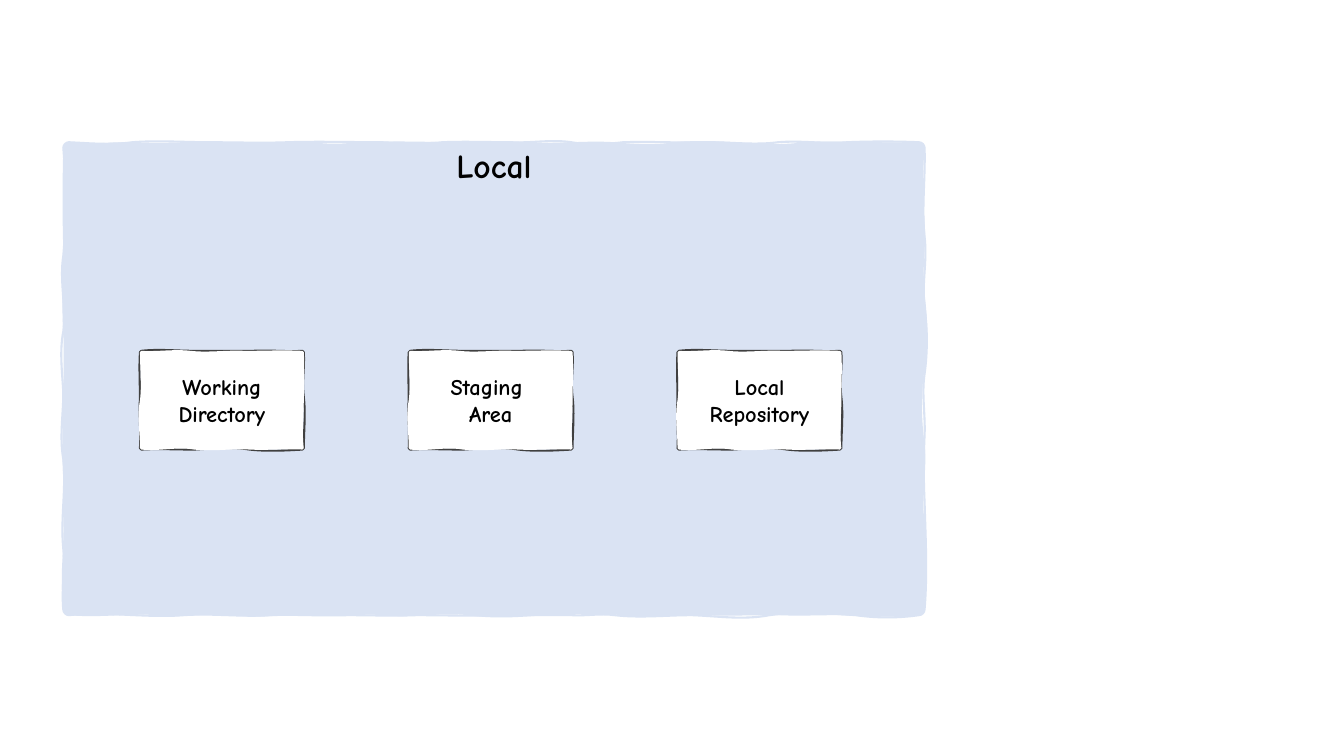
from dataclasses import dataclass

from lxml.etree import SubElement
from pptx import Presentation
from pptx.dml.color import RGBColor
from pptx.enum.text import MSO_ANCHOR as Anchor, MSO_AUTO_SIZE as AutoSize, PP_ALIGN as Align
from pptx.oxml.ns import qn
from pptx.util import Pt


@dataclass(frozen=True)
class Theme:
    font: str = "Comic Neue"
    text: RGBColor = RGBColor(0, 0, 0)
    panel: RGBColor = RGBColor(0xDA, 0xE3, 0xF3)
    card: RGBColor = RGBColor(0xFF, 0xFF, 0xFF)
    card_line: RGBColor = RGBColor(0x40, 0x40, 0x40)
    heading_size: int = 24
    label_size: int = 16
    line_width: float = 1.5


@dataclass(frozen=True)
class Box:
    left: float
    top: float
    width: float
    height: float


@dataclass(frozen=True)
class Sketch:
    radius: float
    outline: tuple
    fill: tuple


THEME = Theme()
BEND = 0.72

# Each side runs clockwise from the top: (percent along, first bend, second bend).
PANEL_SKETCH = Sketch(
    radius=4,
    outline=(
        ((8, -1, -3), (17, 2, 0), (26, 0, -1), (37, 1, 0), (44, -1, -2), (52, 1, 0),
         (59, -1, 3), (65, -3, -2), (75, 1, -1), (83, 0, -3), (91, 2, -2), (100, 1, 1)),
        ((20, 1, -3), (35, 3, -3), (49, 3, 3), (62, -3, 1), (76, -1, -1), (100, 1, 3)),
        ((8, 3, 3), (18, -2, -4), (27, 5, 1), (36, 0, 3), (41, -2, 1), (50, 0, 0),
         (59, 1, 0), (67, 1, 0), (76, 1, -1), (86, 2, -2), (100, 3, -4)),
        ((14, 2, -2), (33, 3, -3), (47, 4, 0), (60, 1, 4), (76, -3, 4), (100, -3, -3)),
    ),
    fill=(
        ((7, -3, 0), (15, -1, -1), (22, 0, 0), (29, -1, 1), (34, -2, -2), (44, 1, 1),
         (54, -1, 2), (64, -2, 2), (71, -2, -3), (78, 2, 1), (86, -2, -3), (100, 2, -1)),
        ((17, -2, -2), (32, 2, -3), (48, 3, 4), (64, -4, -3), (80, 3, -4), (100, 4, 0)),
        ((10, 3, 1), (17, 0, 1), (26, 0, 1), (35, 0, 3), (44, -2, -1), (53, 2, 4),
         (63, -3, 3), (71, -2, 2), (80, -2, 4), (89, -3, 3), (100, -2, 3)),
        ((14, 2, 2), (28, -1, 0), (44, 1, 1), (60, 0, -1), (77, 2, 0), (100, 1, 1)),
    ),
)
CARD_SKETCH = Sketch(
    radius=1,
    outline=(
        ((33, 2, 0), (69, 0, 0), (100, 1, -1)),
        ((47, 1, -2), (100, 2, 0)),
        ((33, 1, 2), (67, -3, -1), (100, 0, -1)),
        ((52, -1, 1), (100, 0, 1)),
    ),
    fill=(
        ((31, -1, 2), (64, -2, 1), (100, 0, 1)),
        ((50, 1, 0), (100, 0, -2)),
        ((33, -1, 1), (67, -1, 2), (100, -3, 2)),
        ((50, 0, 3), (100, -2, 0)),
    ),
)


def add_points(parent, tag, points):
    command = SubElement(parent, qn(tag))
    for x, y in points:
        SubElement(command, qn("a:pt"), x=str(Pt(x)), y=str(Pt(y)))


def add_sketch_path(path_list, box, radius, sides, **attributes):
    width, height = box.width, box.height
    path = SubElement(path_list, qn("a:path"), w=str(Pt(width)), h=str(Pt(height)), **attributes)
    corners = (
        (width, lambda along, out: (along, -out)),
        (height, lambda along, out: (width + out, along)),
        (width, lambda along, out: (width - along, height + out)),
        (height, lambda along, out: (-out, height - along)),
    )
    add_points(path, "a:moveTo", [(0, radius)])
    for (length, place), side in zip(corners, sides):
        round_corner = [place(0, -radius / 2), place(radius / 2, 0), place(radius, 0)]
        add_points(path, "a:cubicBezTo", round_corner)
        start = radius
        for percent, first, second in side:
            end = min(length * percent / 100, length - radius)
            step = (end - start) / 3
            add_points(path, "a:cubicBezTo", [
                place(start + step, first * BEND),
                place(end - step, second * BEND),
                place(end, 0),
            ])
            start = end
    SubElement(path, qn("a:close"))


def add_sketched_box(shapes, box, sketch, fill, line):
    right, bottom = box.left + box.width, box.top + box.height
    builder = shapes.build_freeform(Pt(box.left), Pt(box.top))
    builder.add_line_segments([
        (Pt(right), Pt(box.top)), (Pt(right), Pt(bottom)), (Pt(box.left), Pt(bottom)),
    ])
    shape = builder.convert_to_shape()
    path_list = next(shape.element.iter(qn("a:pathLst")))
    path_list.remove(path_list[0])
    add_sketch_path(path_list, box, sketch.radius, sketch.outline, fill="none")
    add_sketch_path(path_list, box, sketch.radius, sketch.fill, stroke="0")
    shape.shadow.inherit = False
    shape.fill.solid()
    shape.fill.fore_color.rgb = fill
    shape.line.color.rgb = line
    shape.line.width = Pt(THEME.line_width)


def add_label(shapes, box, lines, size):
    label = shapes.add_textbox(Pt(box.left), Pt(box.top), Pt(box.width), Pt(box.height))
    frame = label.text_frame
    frame.word_wrap = True
    frame.auto_size = AutoSize.SHAPE_TO_FIT_TEXT
    frame.vertical_anchor = Anchor.MIDDLE
    frame.text = "\n".join(lines)
    for paragraph in frame.paragraphs:
        paragraph.alignment = Align.CENTER
        paragraph.font.name = THEME.font
        paragraph.font.size = Pt(size)
        paragraph.font.bold = True
        paragraph.font.color.rgb = THEME.text


def add_panel(slide, box, heading):
    add_sketched_box(slide.shapes, box, PANEL_SKETCH, THEME.panel, THEME.panel)
    heading_box = Box(box.left, box.top - 2.2, box.width, 36.4)
    add_label(slide.shapes, heading_box, [heading], THEME.heading_size)


def add_card(slide, box, lines):
    group = slide.shapes.add_group_shape()
    add_sketched_box(group.shapes, box, CARD_SKETCH, THEME.card, THEME.card_line)
    label_height = 46
    label_top = box.top + (box.height - label_height) / 2
    label_box = Box(box.left, label_top, box.width, label_height)
    add_label(group.shapes, label_box, lines, THEME.label_size)


def add_local_areas(slide, box):
    add_panel(slide, box, "Local")
    areas = (["Working Directory"], ["Staging ", "Area"], ["Local", "Repository"])
    pitch = 192
    for index, lines in enumerate(areas):
        add_card(slide, Box(box.left + 54.8 + index * pitch, box.top + 149, 117, 70.5), lines)


def main():
    presentation = Presentation()
    presentation.slide_width = Pt(960)
    presentation.slide_height = Pt(540)
    slide = presentation.slides.add_slide(presentation.slide_layouts[6])
    add_local_areas(slide, Box(45.2, 101.6, 615.2, 337.8))
    presentation.save("out.pptx")


if __name__ == "__main__":
    main()
